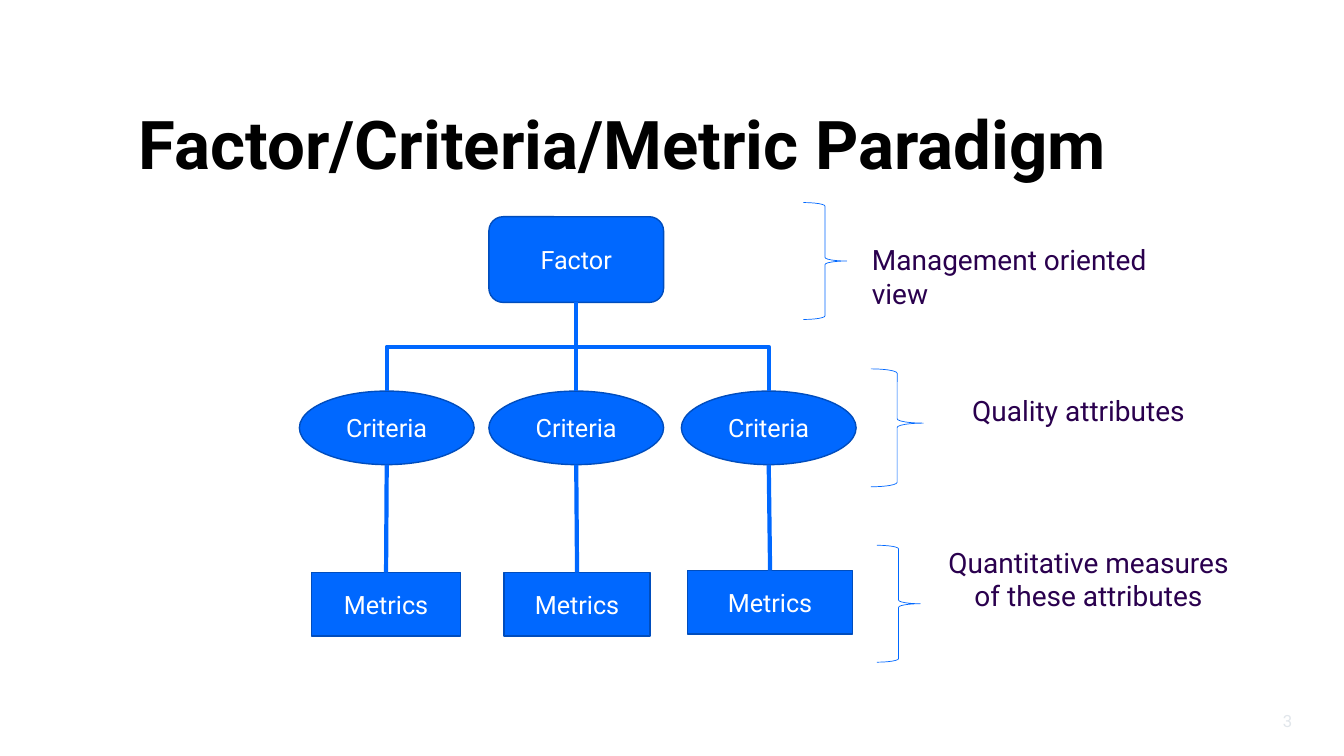
from pptx import Presentation
from pptx.dml.color import RGBColor
from pptx.enum.shapes import MSO_CONNECTOR, MSO_SHAPE
from pptx.enum.text import MSO_ANCHOR, PP_ALIGN
from pptx.oxml import parse_xml
from pptx.oxml.ns import nsdecls
from pptx.util import Inches, Pt

COLORS = {"node": "0068FF", "edge": "004DBD", "label": "FFFFFF",
          "note": "2A004E", "title": "000000", "number": "E1E6EB"}
FONT = "Roboto"
COLUMNS, ROWS = 80, 45
SLIDE_W, SLIDE_H = Inches(13.3333), Inches(7.5)


def color(name):
    """Return the named palette colour."""
    return RGBColor.from_string(COLORS[name])


def place(region, left, top, width, height):
    """Turn grid cells inside a region into slide lengths."""
    cell_w, cell_h = SLIDE_W / COLUMNS, SLIDE_H / ROWS
    return (round((region[0] + left) * cell_w), round((region[1] + top) * cell_h),
            round(width * cell_w), round(height * cell_h))


def write(frame, text, size, tint, align, anchor, bold=False):
    """Write one styled paragraph into a text frame."""
    frame.word_wrap = True
    frame.vertical_anchor = anchor
    paragraph = frame.paragraphs[0]
    paragraph.alignment = align
    run = paragraph.add_run()
    run.text = text
    run.font.name, run.font.size, run.font.bold = FONT, Pt(size), bold
    run.font.color.rgb = color(tint)
    return paragraph


def add_node(slide, kind, label, spot):
    """Add a filled tree node with a centred label."""
    node = slide.shapes.add_shape(kind, *spot)
    node.shadow.inherit = False
    node.fill.solid()
    node.fill.fore_color.rgb = color("node")
    node.line.color.rgb = color("edge")
    node.line.width = Pt(1)
    write(node.text_frame, label, 18, "label", PP_ALIGN.CENTER, MSO_ANCHOR.MIDDLE)
    return node


def add_link(slide, kind, start, end):
    """Add a thick blue connector without a shadow."""
    link = slide.shapes.add_connector(kind, *start, *end)
    link.line.color.rgb = color("node")
    link.line.width = Pt(3)
    link._element.spPr.append(parse_xml(f"<a:effectLst {nsdecls('a')}/>"))
    return link


def middle(node):
    """Return the horizontal middle of a node."""
    return node.left + node.width // 2


def add_branch(slide, parent, child):
    """Join parent bottom to child top with a downward elbow."""
    start = middle(parent), parent.top + parent.height
    end = middle(child), child.top
    link = add_link(slide, MSO_CONNECTOR.ELBOW, start, end)
    link.begin_connect(parent, 2)
    link.end_connect(child, 0)
    drop, reach = end[1] - start[1], abs(end[0] - start[0])
    link.left = (start[0] + end[0] - drop) // 2
    link.top = (start[1] + end[1] - reach) // 2
    link.width, link.height = drop, reach
    to_right = end[0] > start[0]
    frame = link._element.spPr.find("{*}xfrm")
    frame.set("rot", str((270 if to_right else 90) * 60000))
    frame.set("flipH", "1" if to_right else "0")


def add_tree(slide, region):
    """Draw the factor, its criteria and their metrics."""
    factor = add_node(slide, MSO_SHAPE.ROUNDED_RECTANGLE, "Factor",
                      place(region, 11.28, 0, 10.4, 5.1))
    columns = [(0, 0.72, 21.18, 8.88), (11.28, 12.18, 21.18, 8.7),
               (22.74, 23.1, 21.06, 9.84)]
    for criteria_left, metrics_left, metrics_top, metrics_width in columns:
        criteria = add_node(slide, MSO_SHAPE.OVAL, "Criteria",
                            place(region, criteria_left, 10.38, 10.4, 4.38))
        metrics = add_node(slide, MSO_SHAPE.RECTANGLE, "Metrics",
                           place(region, metrics_left, metrics_top, metrics_width, 3.78))
        add_branch(slide, factor, criteria)
        stem = add_link(slide, MSO_CONNECTOR.STRAIGHT,
                        (middle(criteria), criteria.top + criteria.height),
                        (middle(metrics), metrics.top))
        stem.end_connect(metrics, 0)


def add_text(slide, spot, margin, *style, **options):
    """Add a text box with equal margins and return its paragraph."""
    frame = slide.shapes.add_textbox(*spot).text_frame
    frame.margin_left = frame.margin_right = Inches(margin)
    frame.margin_top = frame.margin_bottom = Inches(margin / 2)
    return write(frame, *style, **options)


def add_notes(slide, region):
    """Draw the braces and the explanation beside each level."""
    levels = [
        ("Management oriented view", PP_ALIGN.LEFT,
         (0, 0, 2.58, 6.96), 0.5, (4.08, 2.4, 19.8, 2.04)),
        ("Quality attributes", PP_ALIGN.CENTER,
         (4.02, 9.9, 3.12, 7.02), 0.46, (7.8, 11.34, 17.16, 2.04)),
        ("Quantitative measures of these attributes", PP_ALIGN.CENTER,
         (4.38, 20.4, 2.58, 6.96), 0.5, (8.4, 20.4, 17.16, 4.02)),
    ]
    for note, align, brace_cells, tip, note_cells in levels:
        brace = slide.shapes.add_shape(MSO_SHAPE.RIGHT_BRACE, *place(region, *brace_cells))
        brace.shadow.inherit = False
        brace.adjustments[1] = tip
        brace.fill.background()
        brace.line.color.rgb = color("node")
        brace.line.width = Pt(0.5)
        add_text(slide, place(region, *note_cells), 0, note, 20, "note",
                 align, MSO_ANCHOR.TOP)


def add_heading(slide, region):
    """Write the slide title at the bottom of its region."""
    heading = add_text(slide, place(region, 0, 0, 64.14, 8.7), 0.1,
                       "Factor/Criteria/Metric Paradigm", 48, "title",
                       PP_ALIGN.LEFT, MSO_ANCHOR.BOTTOM, bold=True)
    heading.line_spacing = 0.9


def add_number(slide, region):
    """Write the slide number in the corner."""
    add_text(slide, place(region, 0, 0, 6, 2.4), 0.1, "3", 12, "number",
             PP_ALIGN.RIGHT, MSO_ANCHOR.MIDDLE)


def main():
    """Build and save the slide."""
    deck = Presentation()
    deck.slide_width, deck.slide_height = SLIDE_W, SLIDE_H
    slide = deck.slides.add_slide(deck.slide_layouts[6])
    add_heading(slide, (7.68, 2.52))
    add_tree(slide, (17.82, 12.9))
    add_notes(slide, (47.82, 12.06))
    add_number(slide, (71.52, 41.7))
    deck.save("out.pptx")


if __name__ == "__main__":
    main()
